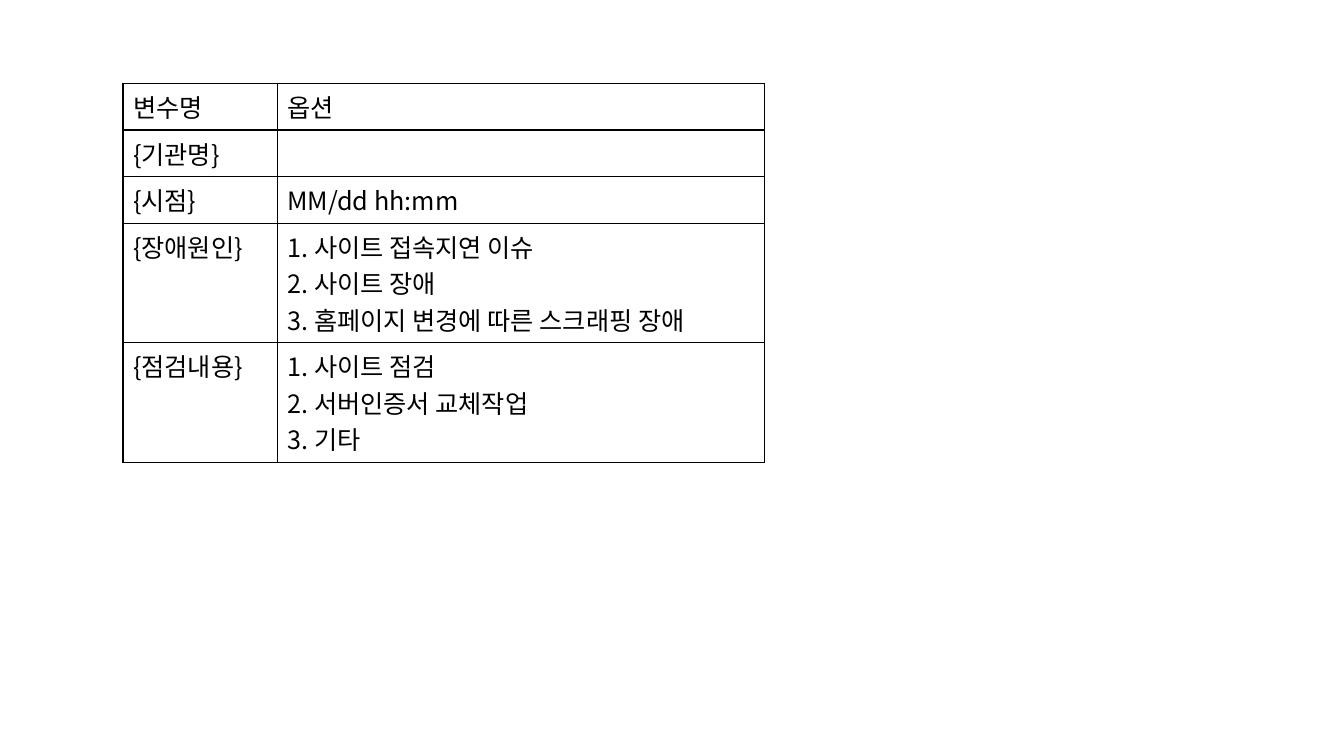
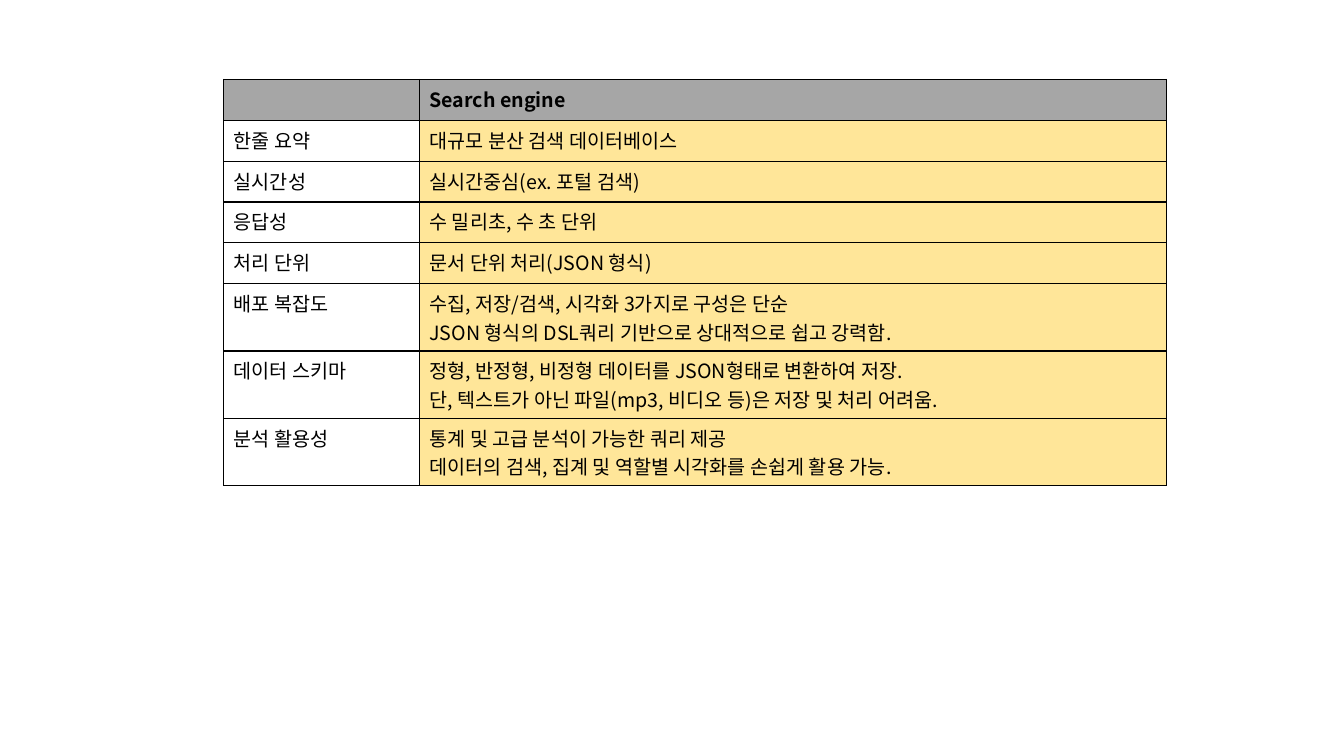
import pptx
import pptx.dml.color
import pptx.util
import pptx.oxml
import pptx.oxml.ns
import lxml.etree

Cm = pptx.util.Cm
FONT = "Noto Sans CJK KR"
BLACK, GRAY, YELLOW = "000000", "A6A6A6", "FFE699"
ROW_HEIGHT = Cm(1.03)

# Content: each row is (label, lines of the second column)
VARIABLES = [
    ("변수명", ["옵션"]),
    ("{기관명}", []),
    ("{시점}", ["MM/dd hh:mm"]),
    ("{장애원인}", ["1. 사이트 접속지연 이슈", "2. 사이트 장애",
                "3. 홈페이지 변경에 따른 스크래핑 장애"]),
    ("{점검내용}", ["1. 사이트 점검", "2. 서버인증서 교체작업", "3. 기타"]),
]
SEARCH_ENGINE = [
    ("", ["Search engine"]),
    ("한줄 요약", ["대규모 분산 검색 데이터베이스"]),
    ("실시간성", ["실시간중심(ex. 포털 검색)"]),
    ("응답성", ["수 밀리초, 수 초 단위"]),
    ("처리 단위", ["문서 단위 처리(JSON 형식)"]),
    ("배포 복잡도", ["수집, 저장/검색, 시각화 3가지로 구성은 단순",
                "JSON 형식의 DSL쿼리 기반으로 상대적으로 쉽고 강력함."]),
    ("데이터 스키마", ["정형, 반정형, 비정형 데이터를 JSON형태로 변환하여 저장.",
                 "단, 텍스트가 아닌 파일(mp3, 비디오 등)은 저장 및 처리 어려움."]),
    ("분석 활용성", ["통계 및 고급 분석이 가능한 쿼리 제공",
                "데이터의 검색, 집계 및 역할별 시각화를 손쉽게 활용 가능."]),
]
TABLES = [
    {"rows": VARIABLES, "left": 3.1, "top": 2.1, "columns": (3.89, 12.27),
     "size": 18, "header_fill": None, "body_fill": None, "header_bold": False},
    {"rows": SEARCH_ENGINE, "left": 5.64, "top": 2.0, "columns": (4.93, 18.82),
     "size": 14, "header_fill": GRAY, "body_fill": YELLOW, "header_bold": True},
]


def color(value):
    return pptx.dml.color.RGBColor.from_string(value)


def fill_cell(cell, value):
    if value is None:
        cell.fill.background()
    else:
        cell.fill.solid()
        cell.fill.fore_color.rgb = color(value)


def border_cell(cell):
    properties = cell._tc.get_or_add_tcPr()
    namespace = pptx.oxml.ns.nsdecls("a")
    for position, side in enumerate("LRTB"):
        properties.insert(position, pptx.oxml.parse_xml(
            f'<a:ln{side} {namespace} w="12700"><a:solidFill>'
            f'<a:srgbClr val="{BLACK}"/></a:solidFill></a:ln{side}>'))


def write_cell(cell, lines, size, bold):
    frame = cell.text_frame
    style = {"name": FONT, "size": pptx.util.Pt(size), "bold": bold}
    if not lines:
        # An empty cell still takes its height from the text size
        frame.paragraphs[0]._p.get_or_add_endParaRPr().set("sz", str(size * 100))
    for index, line in enumerate(lines):
        para = frame.add_paragraph() if index else frame.paragraphs[0]
        span = para.add_run()
        span.text = line
        for name, value in style.items():
            setattr(span.font, name, value)
        span.font.color.rgb = color(BLACK)
        east_asian = lxml.etree.SubElement(
            span._r.get_or_add_rPr(), pptx.oxml.ns.qn("a:ea"))
        east_asian.set("typeface", FONT)


def add_grid(page, layout):
    rows, widths = layout["rows"], [Cm(width) for width in layout["columns"]]
    table = page.shapes.add_table(
        len(rows), len(widths), Cm(layout["left"]), Cm(layout["top"]),
        sum(widths), ROW_HEIGHT * len(rows)).table
    table.first_row = table.horz_banding = False
    for column, width in zip(table.columns, widths):
        column.width = width
    for row_index, (label, details) in enumerate(rows):
        table.rows[row_index].height = ROW_HEIGHT
        header = row_index == 0
        if header:
            fills = [layout["header_fill"]] * 2
        else:
            fills = [None, layout["body_fill"]]
        texts = [[label] if label else [], details]
        for column_index, (lines, fill) in enumerate(zip(texts, fills)):
            cell = table.cell(row_index, column_index)
            fill_cell(cell, fill)
            border_cell(cell)
            write_cell(cell, lines, layout["size"], header and layout["header_bold"])


def main():
    deck = pptx.Presentation()
    deck.slide_width, deck.slide_height = Cm(33.87), Cm(19.05)
    for layout in TABLES:
        add_grid(deck.slides.add_slide(deck.slide_layouts[6]), layout)
    deck.save("out.pptx")


if __name__ == "__main__":
    main()
